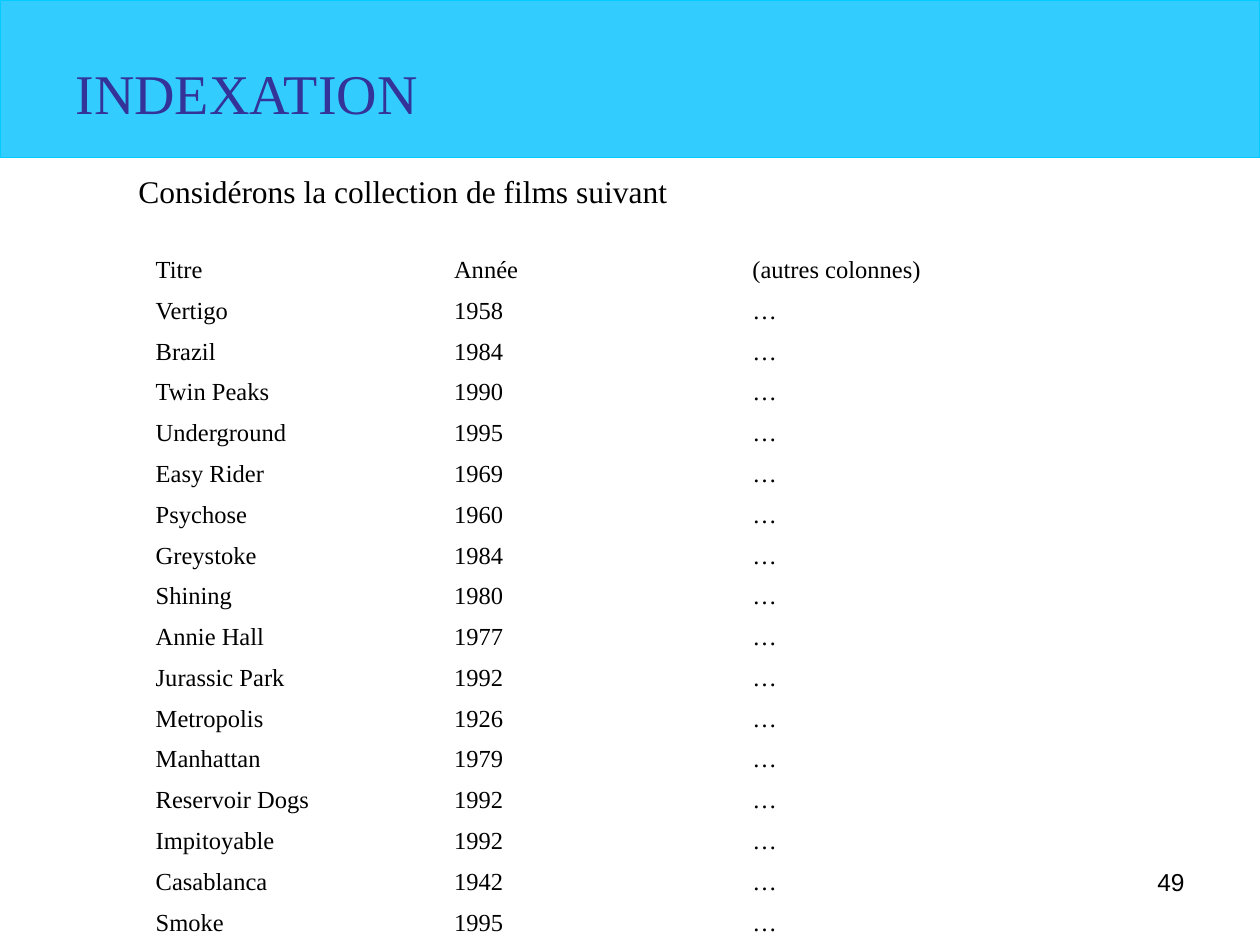
from pptx import Presentation
from pptx.dml.color import RGBColor
from pptx.enum.shapes import MSO_SHAPE
from pptx.enum.text import MSO_ANCHOR, PP_ALIGN
from pptx.util import Pt


def color(code):
    return RGBColor.from_string(code)


class Deck:
    serif, sans = "Times New Roman", "Arial"
    black, white, navy = "000000", "FFFFFF", "333399"
    sky, edge = "33CCFF", "00CCFF"

    def __init__(self, width, height):
        self.deck = Presentation()
        self.deck.slide_width, self.deck.slide_height = Pt(width), Pt(height)
        self.slide = self.deck.slides.add_slide(self.deck.slide_layouts[6])

    def label(self, frame, text, size, font=serif, ink=black, align=PP_ALIGN.LEFT):
        par = frame.paragraphs[0]
        par.alignment = align
        run = par.add_run()
        run.text = text
        run.font.size, run.font.name = Pt(size), font
        run.font.bold = False
        run.font.color.rgb = color(ink)

    def band(self, *box):
        shape = self.slide.shapes.add_shape(MSO_SHAPE.RECTANGLE, *map(Pt, box))
        shape.shadow.inherit = False
        shape.fill.solid()
        shape.fill.fore_color.rgb = color(self.sky)
        shape.line.color.rgb = color(self.edge)
        shape.line.width = Pt(0.74)

    def text(self, box, text, size, anchor=MSO_ANCHOR.TOP, **style):
        frame = self.slide.shapes.add_textbox(*map(Pt, box)).text_frame
        frame.word_wrap = True
        frame.vertical_anchor = anchor
        self.label(frame, text, size, **style)

    def table(self, box, rows, size):
        table = self.slide.shapes.add_table(len(rows), len(rows[0]), *map(Pt, box)).table
        table.first_row = table.horz_banding = False
        for col in table.columns:
            col.width = Pt(box[2] / len(rows[0]))
        for line, row in zip(table.rows, rows):
            line.height = Pt(box[3] / len(rows))
            for cell, value in zip(line.cells, row):
                cell.fill.solid()
                cell.fill.fore_color.rgb = color(self.white)
                cell.vertical_anchor = MSO_ANCHOR.MIDDLE
                cell.margin_left = cell.margin_right = Pt(5.6)
                cell.margin_top = cell.margin_bottom = Pt(3.25)
                self.label(cell.text_frame, value, size)


films = [
    ("Vertigo", 1958), ("Brazil", 1984), ("Twin Peaks", 1990),
    ("Underground", 1995), ("Easy Rider", 1969), ("Psychose", 1960),
    ("Greystoke", 1984), ("Shining", 1980), ("Annie Hall", 1977),
    ("Jurassic Park", 1992), ("Metropolis", 1926), ("Manhattan", 1979),
    ("Reservoir Dogs", 1992), ("Impitoyable", 1992), ("Casablanca", 1942),
    ("Smoke", 1995),
]
page = Deck(720, 540)

# Header
page.band(0, 0, 720, 90)
page.text((36, 21.6, 606, 62.6), "INDEXATION", 32, MSO_ANCHOR.MIDDLE, ink=page.navy)

# Film list
rows = [("Titre", "Année", "(autres colonnes)")]
rows += [(title, str(year), "…") for title, year in films]
page.table((83.4, 142.8, 511.5, 386.4), rows, 14)

# Page number
page.text((516, 492, 168, 37.5), "49", 14, font=page.sans, align=PP_ALIGN.RIGHT)

# Lead line
page.text((72, 94.5, 453, 29), "Considérons la collection de films suivant", 18)

page.deck.save("out.pptx")
